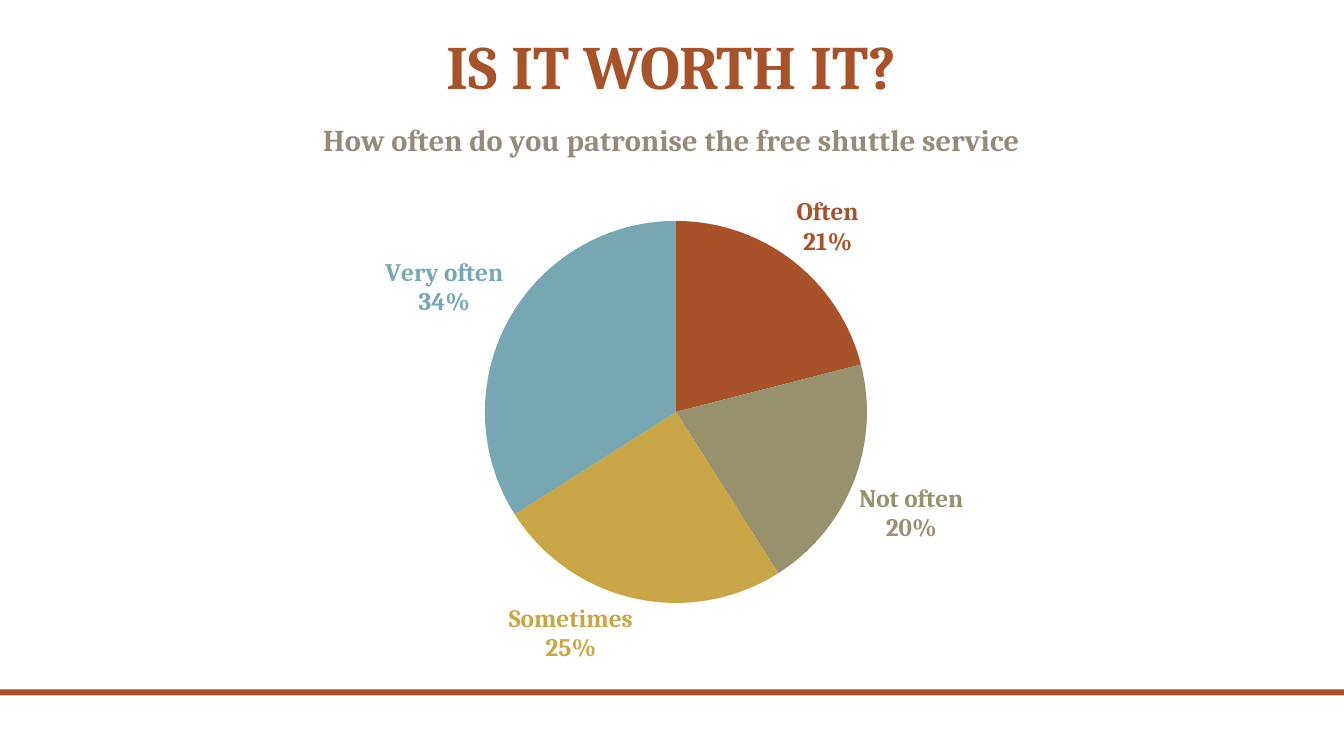
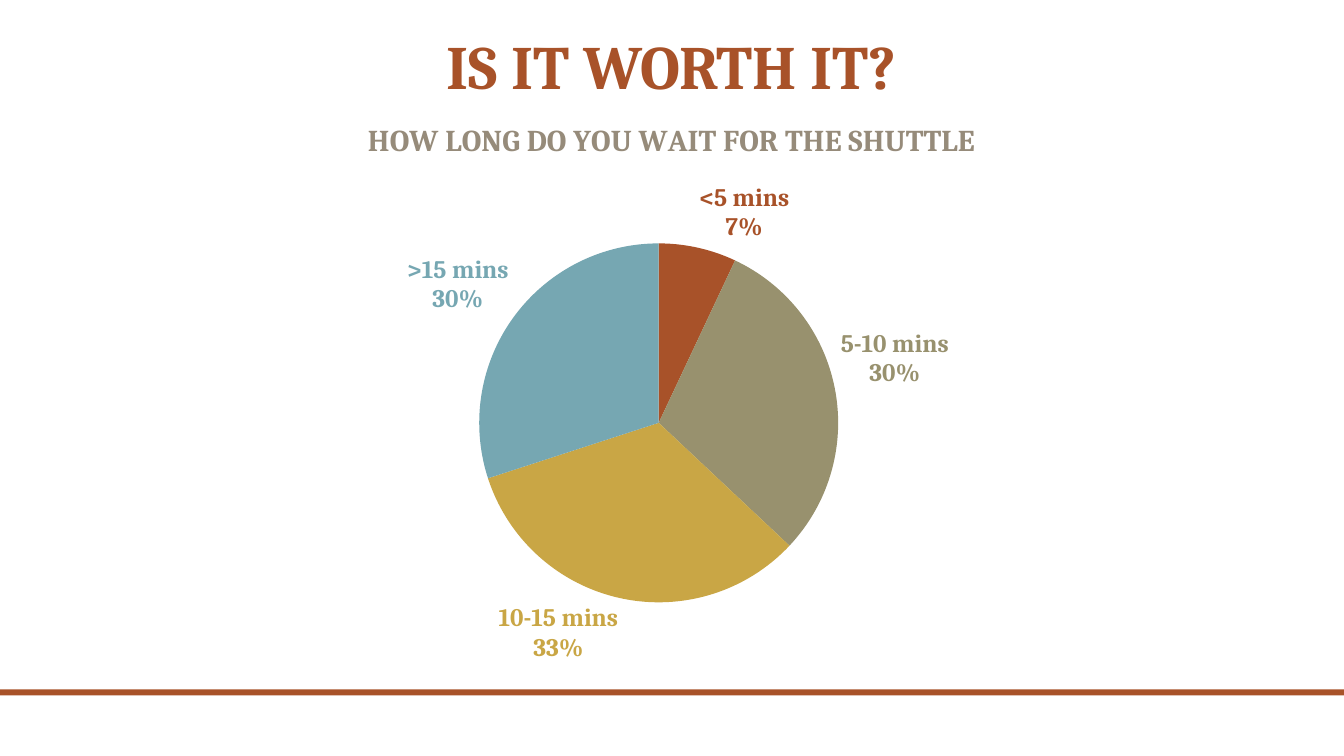
from dataclasses import dataclass

from lxml import etree
from pptx import Presentation
from pptx import util as u
from pptx.chart import data as chart_data
from pptx.dml.color import RGBColor
from pptx.enum import chart as ch, shapes, text
from pptx.oxml import ns

Pt = u.Pt


@dataclass(frozen=True)
class Theme:
    font: str = "Cambria"
    rust: str = "A85229"
    question: str = "968B7A"
    body: str = "514A40"
    slices: tuple = ("A85229", "98916E", "C9A645", "76A7B2")
    title_size: float = 44
    question_size: float = 21.6
    label_size: float = 18


THEME = Theme()
WIDTH, HEIGHT = 960, 540
BAND = (0, 492.5, WIDTH, 4.3)
TITLE = (102, 12.2, 756, 64.8)
CHART = (102, 69.8, 756, 414.7)

HEADING = "IS IT WORTH IT?"
SURVEY = [
    {
        "question": "How often do you patronise the free shuttle service",
        "answers": {"Often": 21, "Not often": 20, "Sometimes": 25, "Very often": 34},
        "center": (482.9, 294.3),
        "diameter": 272.9,
    },
    {
        "question": "HOW LONG DO YOU WAIT FOR THE SHUTTLE",
        "answers": {"<5 mins": 7, "5-10 mins": 30, "10-15 mins": 33, ">15 mins": 30},
        "center": (470.5, 302.1),
        "diameter": 256.4,
    },
]


def points(box):
    return [Pt(length) for length in box]


def style(font, size, color, bold=True):
    font.name = THEME.font
    font.size = Pt(size)
    font.bold = bold
    font.color.rgb = RGBColor.from_string(color)


def add_child(parent, tag, **attributes):
    return etree.SubElement(parent, ns.qn(tag), attributes)


def add_band(slide):
    band = slide.shapes.add_shape(shapes.MSO_SHAPE.RECTANGLE, *points(BAND))
    band.shadow.inherit = False
    band.fill.solid()
    band.fill.fore_color.rgb = RGBColor.from_string(THEME.rust)
    band.line.fill.background()


def add_heading(slide):
    frame = slide.shapes.add_textbox(*points(TITLE)).text_frame
    frame.word_wrap = True
    frame.vertical_anchor = text.MSO_ANCHOR.BOTTOM
    paragraph = frame.paragraphs[0]
    paragraph.alignment = text.PP_ALIGN.CENTER
    paragraph.line_spacing = 0.9
    run = paragraph.add_run()
    run.text = HEADING
    style(run.font, THEME.title_size, THEME.rust)


def place_pie(pie_chart, center, diameter):
    left, top, width, height = CHART
    plot_area = pie_chart._chartSpace.chart.plotArea
    for old in plot_area.findall(ns.qn("c:layout")):
        plot_area.remove(old)
    layout = etree.Element(ns.qn("c:layout"))
    plot_area.insert(0, layout)
    manual = add_child(layout, "c:manualLayout")
    add_child(manual, "c:layoutTarget", val="inner")
    add_child(manual, "c:xMode", val="edge")
    add_child(manual, "c:yMode", val="edge")
    fractions = {
        "x": (center[0] - diameter / 2 - left) / width,
        "y": (center[1] - diameter / 2 - top) / height,
        "w": diameter / width,
        "h": diameter / height,
    }
    for side, fraction in fractions.items():
        add_child(manual, f"c:{side}", val=f"{fraction:.4f}")


def color_slices(series):
    for index, color in enumerate(THEME.slices):
        wedge = series.points[index]
        wedge.format.fill.solid()
        wedge.format.fill.fore_color.rgb = RGBColor.from_string(color)
        wedge.format.line.fill.background()
        style(wedge.data_label.font, THEME.label_size, color)
        wedge.data_label.position = ch.XL_LABEL_POSITION.OUTSIDE_END
    labels = series.data_labels
    labels.show_value = False
    labels.show_category_name = True
    labels.show_percentage = True
    labels.position = ch.XL_LABEL_POSITION.OUTSIDE_END
    shown = {"c:showVal": "0", "c:showCatName": "1", "c:showPercent": "1"}
    for label in series._element.iter(ns.qn("c:dLbl")):
        for tag, value in shown.items():
            label.find(ns.qn(tag)).set("val", value)
        add_child(label, "c:separator").text = "\n"


def add_pie(slide, question, answers, center, diameter):
    results = chart_data.CategoryChartData()
    results.categories = list(answers)
    results.add_series(question, list(answers.values()))
    pie_chart = slide.shapes.add_chart(
        ch.XL_CHART_TYPE.PIE, *points(CHART), results
    ).chart
    style(pie_chart.font, THEME.label_size, THEME.body, bold=False)
    pie_chart.has_legend = False
    run = pie_chart.chart_title.text_frame.paragraphs[0].add_run()
    run.text = question
    style(run.font, THEME.question_size, THEME.question)
    pie_chart.chart_title.include_in_layout = False
    pie_chart.plots[0].vary_by_categories = True
    color_slices(pie_chart.plots[0].series[0])
    place_pie(pie_chart, center, diameter)


def main():
    deck = Presentation()
    deck.slide_width, deck.slide_height = Pt(WIDTH), Pt(HEIGHT)
    for topic in SURVEY:
        slide = deck.slides.add_slide(deck.slide_layouts[6])
        add_band(slide)
        add_heading(slide)
        add_pie(slide, **topic)
    deck.save("out.pptx")


if __name__ == "__main__":
    main()
